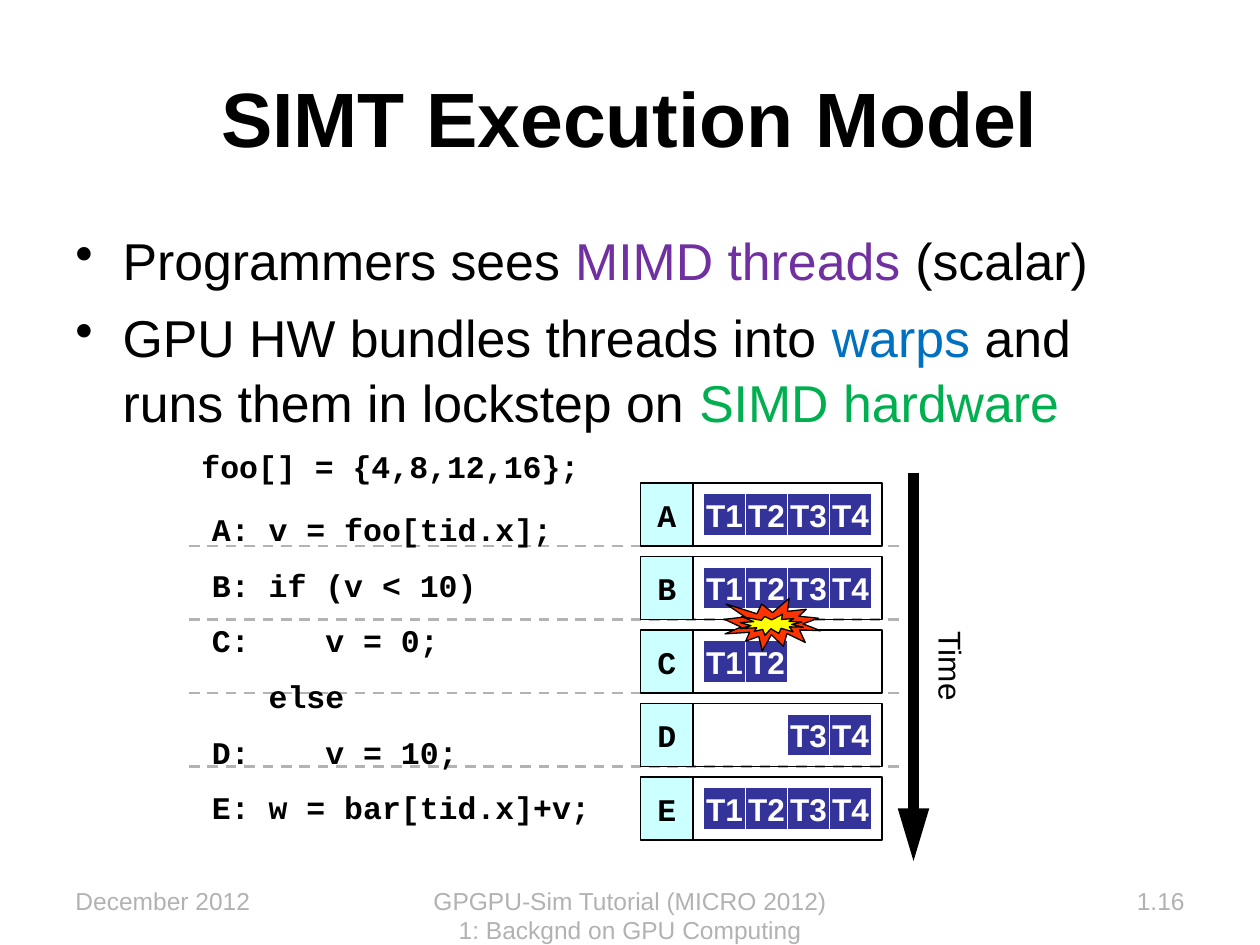
from dataclasses import dataclass

from lxml import etree
from pptx import Presentation
from pptx import util as u
from pptx.dml.color import RGBColor
from pptx.enum import dml, shapes, text
from pptx.oxml.ns import qn

Pt = u.Pt


@dataclass(frozen=True)
class Theme:
    """Colours, fonts and type sizes of the slide."""
    black: str = "000000"
    white: str = "FFFFFF"
    grey: str = "B2B2B2"
    rule: str = "B3B3B3"
    purple: str = "7030A0"
    blue: str = "0070C0"
    green: str = "00B050"
    label: str = "CCFFFF"
    thread: str = "333399"
    red: str = "FF3300"
    yellow: str = "FFFF00"
    sans: str = "Arial"
    mono: str = "Courier New"
    title_size: float = 44
    body_size: float = 29.6
    small_size: float = 18
    footer_size: float = 14
    thin: float = 0.75


T = Theme()
ALIGN = text.PP_ALIGN


def rgb(value):
    """Turn a hex string into a colour."""
    return RGBColor.from_string(value)


def style(p, size, color=T.black, name=T.sans, bold=False, align=ALIGN.LEFT):
    """Set the font and alignment of a paragraph."""
    p.alignment = align
    p.font.size, p.font.name, p.font.bold = Pt(size), name, bold
    p.font.color.rgb = rgb(color)


def add_text(s, box, lines, size, wrap=True, space=0, anchor=text.MSO_ANCHOR.TOP, **font):
    """Add a text box with one paragraph for each line."""
    tf = s.shapes.add_textbox(*map(Pt, box)).text_frame
    tf.word_wrap, tf.vertical_anchor = wrap, anchor
    for i, line in enumerate(lines):
        p = tf.add_paragraph() if i else tf.paragraphs[0]
        p.text = line
        p.space_before = Pt(space)
        style(p, size, **font)
    return tf


def add_block(s, kind, box, fill=None, line=T.black, label="", **font):
    """Add an outlined preset shape with an optional centred label."""
    sp = s.shapes.add_shape(kind, *map(Pt, box))
    sp.shadow.inherit = False
    if fill:
        sp.fill.solid()
        sp.fill.fore_color.rgb = rgb(fill)
    else:
        sp.fill.background()
    sp.line.color.rgb, sp.line.width = rgb(line), Pt(T.thin)
    if label:
        tf = sp.text_frame
        tf.word_wrap, tf.vertical_anchor = False, text.MSO_ANCHOR.MIDDLE
        tf.text = label
        style(tf.paragraphs[0], T.small_size, bold=True, align=ALIGN.CENTER, **font)


def add_line(s, x1, y1, x2, y2, color, width):
    """Add a straight connector without a shadow."""
    c = s.shapes.add_connector(shapes.MSO_CONNECTOR.STRAIGHT, *map(Pt, (x1, y1, x2, y2)))
    c.line.color.rgb, c.line.width = rgb(color), Pt(width)
    etree.SubElement(c.element.spPr, qn("a:effectLst"))
    return c


def add_bullets(s, box, items):
    """Add bulleted paragraphs made of coloured runs."""
    tf = add_text(s, box, [""] * len(items), T.body_size, space=6.8)
    for p, runs in zip(tf.paragraphs, items):
        p.line_spacing = 1.04
        pPr = p._p.get_or_add_pPr()
        pPr.set("marL", str(Pt(27)))
        pPr.set("indent", str(-Pt(27)))
        bullet = etree.Element(qn("a:buChar"), char="•")
        pPr.find(qn("a:defRPr")).addprevious(bullet)
        for words, color in runs:
            r = p.add_run()
            r.text = words
            r.font.color.rgb = rgb(color)


def add_rules(s, box, count, pitch):
    """Add evenly spaced dashed rules down a box."""
    x, y, w, _ = box
    for i in range(count):
        c = add_line(s, x, y + i * pitch, x + w, y + i * pitch, T.rule, 1.5)
        c.line.dash_style = dml.MSO_LINE.DASH


def add_warp(s, box, name, threads):
    """Add one warp row: its label, frame and active threads."""
    x, y, w, h = box
    rect, label_w, cell, pad = shapes.MSO_SHAPE.RECTANGLE, 30, 24, 6
    add_block(s, rect, (x + label_w, y, w - label_w, h))
    add_block(s, rect, (x, y, label_w, h), T.label, label=name, name=T.mono)
    for n in threads:
        left = x + label_w + pad + (n - 1) * cell
        add_block(s, rect, (left, y + pad, cell, cell), T.thread, T.white,
                  f"T{n}", color=T.white)


def add_burst(s, box):
    """Add a red burst with a yellow core where the warp diverges."""
    x, y, w, h = box
    kind = shapes.MSO_SHAPE.EXPLOSION1
    add_block(s, kind, box, T.red)
    add_block(s, kind, (x + 9, y + 9, w - 19, h - 18), T.yellow)


def add_time_axis(s, box):
    """Add the downward time arrow and its vertical label."""
    x, y, w, h = box
    c = add_line(s, x, y, x, y + h, T.black, 6)
    etree.SubElement(c.line._get_or_add_ln(), qn("a:tailEnd"), type="triangle", w="med", len="lg")
    tf = add_text(s, (x, y + 84, w, 47.5), ["Time"], T.small_size, wrap=False)
    tf._txBody.bodyPr.set("vert", "eaVert")


def add_diagram(s, box):
    """Add the code beside its warp schedule over time."""
    x, y, w, h = box
    pitch = 42
    warps = {"A": (1, 2, 3, 4), "B": (1, 2, 3, 4), "C": (1, 2), "D": (3, 4), "E": (1, 2, 3, 4)}
    code = ["A: v = foo[tid.x];", "B: if (v < 10)", "C:    v = 0;", "   else",
            "D:    v = 10;", "E: w = bar[tid.x]+v;"]
    mono = dict(name=T.mono, bold=True)
    add_rules(s, (x, y + 60, 408, h), len(warps) - 1, pitch)
    add_text(s, (x + 6, y + 36, 234, 193), code, T.small_size, space=10.2, **mono)
    add_time_axis(s, (x + 414, y + 18, 36, 222))
    for i, (name, threads) in enumerate(warps.items()):
        add_warp(s, (x + 258, y + 24 + i * pitch, 138, 36), name, threads)
    add_burst(s, (x + 306, y + 90, 55, 30))
    add_text(s, (x, y, 232, 29), ["foo[] = {4,8,12,16};"], T.small_size, wrap=False, **mono)


def add_footer(s, box):
    """Add the date, the talk name and the slide number."""
    x, y, w, h = box
    talk = "GPGPU-Sim Tutorial (MICRO 2012) 1: Backgnd on GPU Computing"
    parts = [(0, 168, "December 2012", ALIGN.LEFT), (204, 240, talk, ALIGN.CENTER),
             (w - 168, 168, "1.16", ALIGN.RIGHT)]
    for dx, width, words, align in parts:
        add_text(s, (x + dx, y, width, h), [words], T.footer_size, color=T.grey, align=align)


def main():
    """Build the slide and save it."""
    prs = Presentation()
    prs.slide_width, prs.slide_height = Pt(720), Pt(540)
    s = prs.slides.add_slide(prs.slide_layouts[6])
    add_footer(s, (36, 502.5, 648, 37.5))
    add_text(s, (36, 21.6, 648, 90), ["SIMT Execution Model"], T.title_size, bold=True,
             align=ALIGN.CENTER, anchor=text.MSO_ANCHOR.MIDDLE)
    add_bullets(s, (36, 126, 648, 114), [
        [("Programmers sees ", T.black), ("MIMD threads ", T.purple), ("(scalar)", T.black)],
        [("GPU HW bundles threads into ", T.black), ("warps", T.blue),
         (" and runs them in lockstep on ", T.black), ("SIMD hardware", T.green)],
    ])
    add_diagram(s, (108, 252, 450, 240))
    prs.save("out.pptx")


if __name__ == "__main__":
    main()
